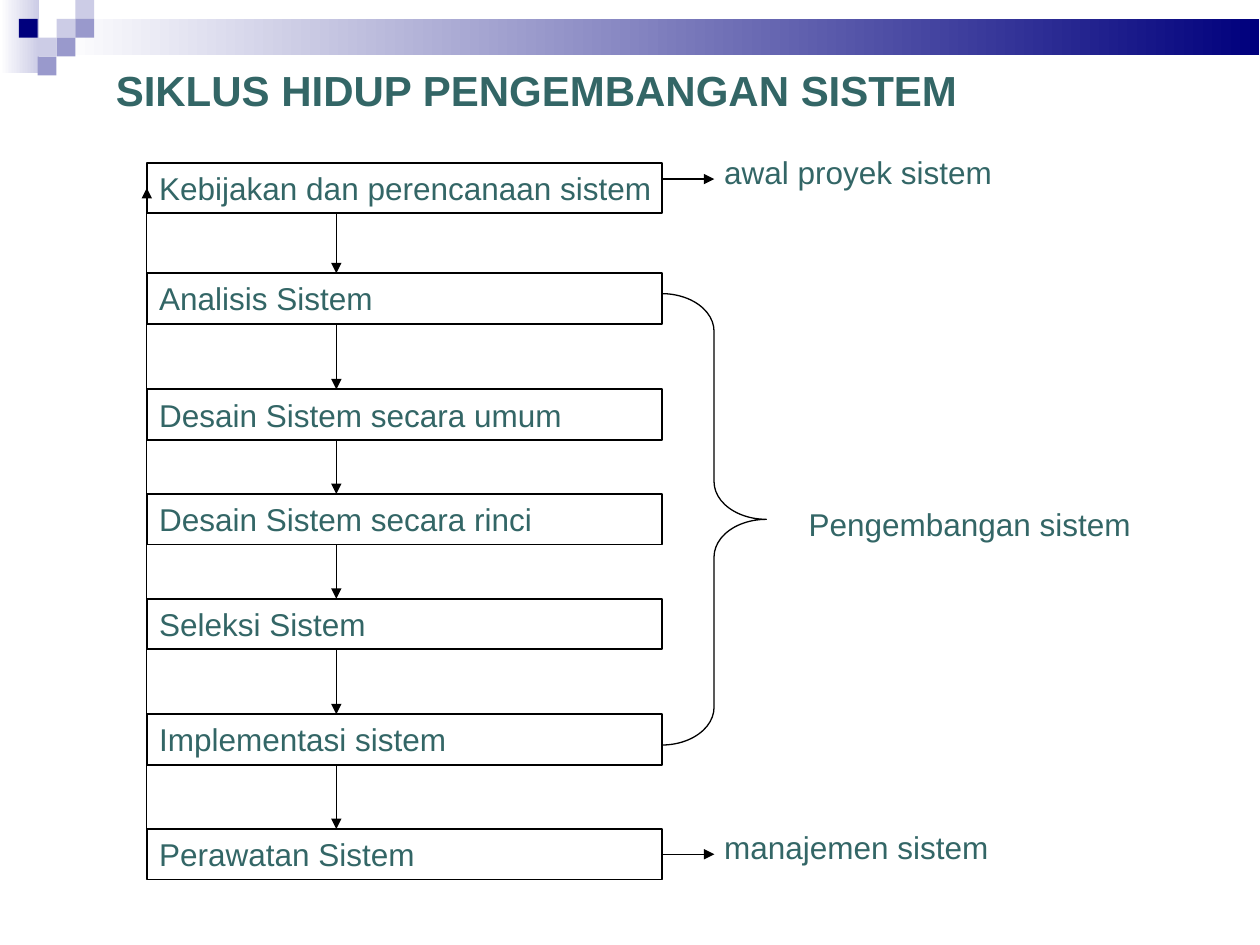
from dataclasses import dataclass
from itertools import pairwise

from lxml.etree import SubElement
from pptx import Presentation
from pptx.dml.color import RGBColor as RGB
from pptx.enum.shapes import MSO_CONNECTOR as LINK, MSO_SHAPE as SHAPE
from pptx.enum.text import MSO_ANCHOR as ANCHOR, MSO_AUTO_SIZE as FIT, PP_ALIGN as ALIGN
from pptx.oxml.ns import qn
from pptx.util import Cm, Pt


@dataclass(frozen=True)
class Theme:
    font: str = "Arial"
    title_size: int = 24
    text_size: int = 18
    text: RGB = RGB(0x33, 0x66, 0x66)
    line: RGB = RGB(0, 0, 0)
    white: RGB = RGB(0xFF, 0xFF, 0xFF)
    pale: RGB = RGB(0xCC, 0xCC, 0xE6)
    lilac: RGB = RGB(0x99, 0x99, 0xCC)
    navy: RGB = RGB(0, 0, 0x7D)
    box_line: float = 1
    thin_line: float = 0.75


THEME = Theme()

# All places are in centimetres.
TITLE = ("SIKLUS HIDUP PENGEMBANGAN SISTEM", (2.08, 1.17, 17.48, 1.27))
STEPS = [  # text, top
    ("Kebijakan dan perencanaan sistem", 3.28),
    ("Analisis Sistem", 5.51),
    ("Desain Sistem secara umum", 7.85),
    ("Desain Sistem secara rinci", 9.96),
    ("Seleksi Sistem", 12.07),
    ("Implementasi sistem", 14.4),
    ("Perawatan Sistem", 16.71),
]
LABELS = [  # text, left, top, width
    ("awal proyek sistem", 14.35, 2.97, 6.1),
    ("Pengembangan sistem", 16.05, 10.06, 7.1),
    ("manajemen sistem", 14.35, 16.56, 6.1),
]
BANDS = [  # place, end colour
    ((0, 0, 0.79, 1.47), THEME.pale),
    ((1.14, 0.38, 24.24, 0.74), THEME.navy),
]
SQUARES = [  # column, row, colour
    (3, 1, THEME.pale), (4, 0, THEME.pale), (4, 1, THEME.lilac),
    (2, 2, THEME.pale), (1, 1, THEME.navy), (3, 2, THEME.lilac),
    (2, 3, THEME.lilac),
]
SQUARE = 0.38
STEP_LEFT, STEP_WIDTH, STEP_HEIGHT = 2.96, 10.38, 1.02
STEP_RIGHT = STEP_LEFT + STEP_WIDTH
FLOW_X = 6.78
SIDE_ARROW_END = 14.4
START_ARROW_Y = 3.61
BRACE = (STEP_RIGHT, 5.92, 2.11, 9.1)


def lengths(*values):
    return [Cm(value) for value in values]


def write(box, text, size, bold=False):
    """Write one line, with the right inset left free for long text."""
    frame = box.text_frame
    frame.word_wrap = True
    frame.auto_size = FIT.SHAPE_TO_FIT_TEXT
    frame.vertical_anchor = ANCHOR.TOP
    frame.margin_right = 0
    para = frame.paragraphs[0]
    para.alignment = ALIGN.LEFT
    span = para.add_run()
    span.text = text
    span.font.name = THEME.font
    span.font.size = Pt(size)
    span.font.bold = bold
    span.font.color.rgb = THEME.text


def add_outline(page, kind, place, line_width):
    shape = page.shapes.add_shape(kind, *lengths(*place))
    shape.shadow.inherit = False
    shape.fill.background()
    shape.line.color.rgb = THEME.line
    shape.line.width = Pt(line_width)
    return shape


def add_block(page, place):
    """Add a rectangle without a line, still to be filled."""
    block = page.shapes.add_shape(SHAPE.RECTANGLE, *lengths(*place))
    block.shadow.inherit = False
    block.line.fill.background()
    return block


def add_arrow(page, *ends):
    arrow = page.shapes.add_connector(LINK.STRAIGHT, *lengths(*ends))
    arrow.line.color.rgb = THEME.line
    arrow.line.width = Pt(THEME.thin_line)
    SubElement(arrow.line._get_or_add_ln(), qn("a:tailEnd"), type="triangle")
    SubElement(arrow._element.spPr, qn("a:effectLst"))
    return arrow


def add_decoration(page):
    for place, colour in BANDS:
        band = add_block(page, place)
        band.fill.gradient()
        band.fill.gradient_angle = 0
        for stop, stop_colour in zip(band.fill.gradient_stops, (THEME.white, colour)):
            stop.color.rgb = stop_colour
    for column, row, colour in SQUARES:
        square = add_block(page, (column * SQUARE, row * SQUARE, SQUARE, SQUARE))
        square.fill.solid()
        square.fill.fore_color.rgb = colour


def add_title(page):
    text, place = TITLE
    title = page.shapes.title
    title.left, title.top, title.width, title.height = lengths(*place)
    write(title, text, THEME.title_size, bold=True)


def add_steps(page):
    boxes = []
    for text, top in STEPS:
        place = (STEP_LEFT, top, STEP_WIDTH, STEP_HEIGHT)
        box = add_outline(page, SHAPE.RECTANGLE, place, THEME.box_line)
        write(box, text, THEME.text_size)
        boxes.append(box)
    return boxes


def add_flow(page, boxes):
    for (_, top), (_, next_top) in pairwise(STEPS):
        add_arrow(page, FLOW_X, top + STEP_HEIGHT, FLOW_X, next_top)

    first, last = boxes[0], boxes[-1]
    middle = STEPS[-1][1] + STEP_HEIGHT / 2
    feedback = add_arrow(page, STEP_LEFT, middle, STEP_LEFT, STEPS[0][1])
    feedback.begin_connect(last, 1)
    feedback.end_connect(first, 1)

    add_arrow(page, STEP_RIGHT, START_ARROW_Y, SIDE_ARROW_END, START_ARROW_Y)
    closing = add_arrow(page, STEP_RIGHT, middle, SIDE_ARROW_END, middle)
    closing.begin_connect(last, 3)


def add_side_labels(page):
    brace = add_outline(page, SHAPE.RIGHT_BRACE, BRACE, THEME.thin_line)
    brace.adjustments[0] = 0.36
    for text, left, top, width in LABELS:
        label = page.shapes.add_textbox(*lengths(left, top, width, STEP_HEIGHT))
        write(label, text, THEME.text_size)


def main():
    deck = Presentation()
    deck.slide_width, deck.slide_height = lengths(25.4, 19.05)
    page = deck.slides.add_slide(deck.slide_layouts[5])
    add_decoration(page)
    add_title(page)
    add_flow(page, add_steps(page))
    add_side_labels(page)
    deck.save("out.pptx")


if __name__ == "__main__":
    main()
